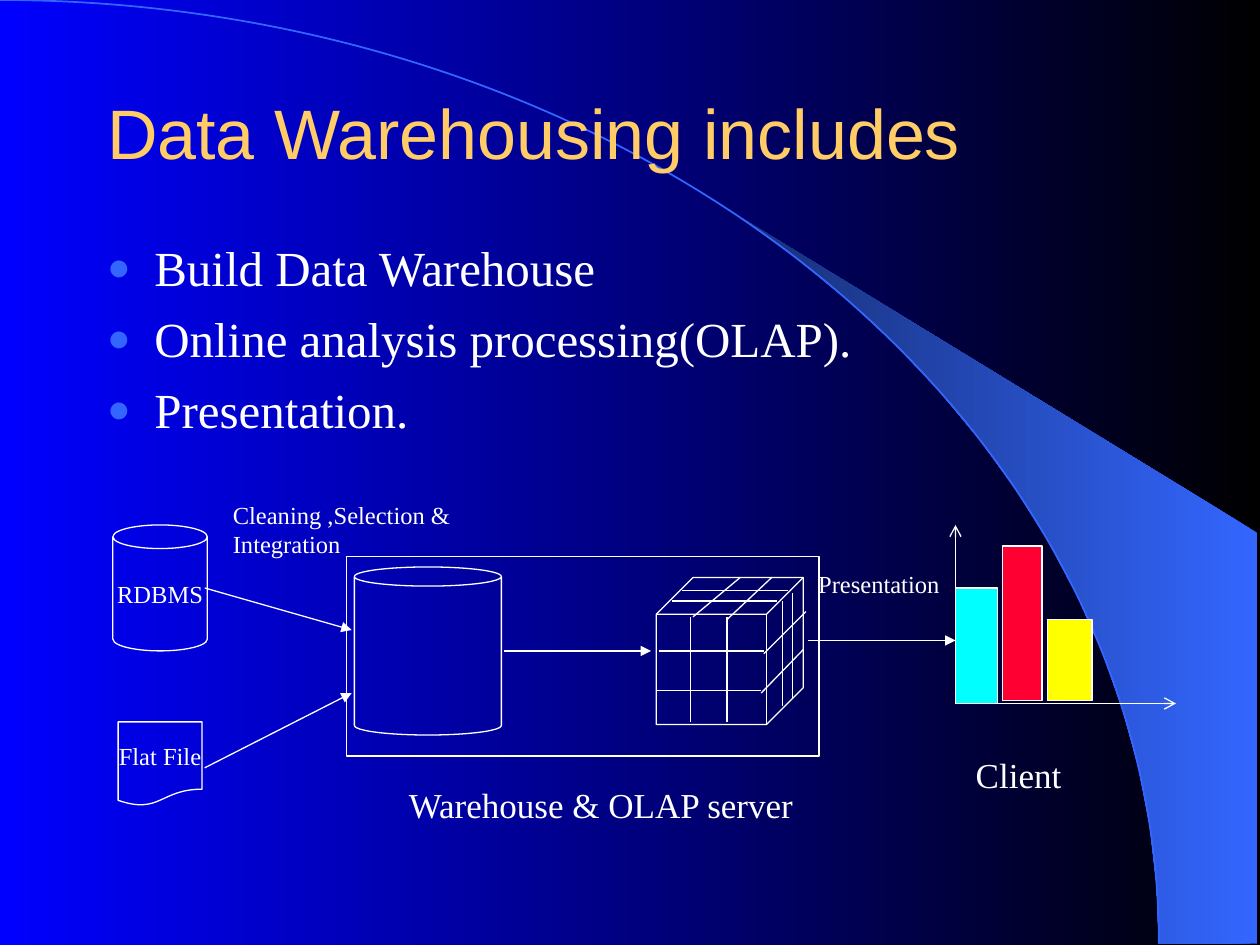
from dataclasses import dataclass
from math import asin, cos, pi, sin

from lxml import etree
from pptx import Presentation
from pptx.dml.color import RGBColor
from pptx.enum.shapes import MSO_CONNECTOR, MSO_SHAPE
from pptx.enum.text import MSO_ANCHOR, MSO_AUTO_SIZE, PP_ALIGN
from pptx.oxml.ns import qn
from pptx.util import Emu, Pt

STRAIGHT = MSO_CONNECTOR.STRAIGHT
ARC, CAN, CUBE = MSO_SHAPE.ARC, MSO_SHAPE.CAN, MSO_SHAPE.CUBE
DOCUMENT, RECTANGLE = MSO_SHAPE.FLOWCHART_DOCUMENT, MSO_SHAPE.RECTANGLE
LEFT, CENTER = PP_ALIGN.LEFT, PP_ALIGN.CENTER
TOP, MIDDLE = MSO_ANCHOR.TOP, MSO_ANCHOR.MIDDLE
NO_FIT, GROW = MSO_AUTO_SIZE.NONE, MSO_AUTO_SIZE.SHAPE_TO_FIT_TEXT

PX = 9525  # EMU per px, 96 px to the inch
ARC_WIDTH, ARC_HEIGHT = 883, 719


@dataclass(frozen=True)
class Theme:
    white: str = "FFFFFF"
    gold: str = "FFCC66"
    accent: str = "3366FF"
    accent_dark: str = "172F75"
    background: tuple = ("000000", "0000FF")
    bars: tuple = ("00FFFF", "FF0033", "FFFF00")
    heading_font: str = "Arial"
    body_font: str = "Times New Roman"
    title_size: int = 40
    body_size: int = 28
    caption_size: int = 20
    label_size: int = 14
    line_width: float = 0.75


THEME = Theme()


def px(*values):
    return [Emu(round(value * PX)) for value in values]


def color(code):
    return RGBColor.from_string(code)


def set_gradient(fill, codes):
    fill.gradient()
    fill.gradient_angle = 180
    for stop, code in zip(fill.gradient_stops, codes):
        stop.color.rgb = color(code)


def set_line(line, code=THEME.white, width=THEME.line_width):
    line.color.rgb = color(code)
    line.width = Pt(width)


def set_frame(frame, **values):
    for name, value in values.items():
        setattr(frame, name, value)


def format_paragraph(para, size, code=THEME.white, font=THEME.body_font, align=LEFT):
    para.alignment = align
    values = {"name": font, "size": Pt(size), "bold": False}
    for name, value in values.items():
        setattr(para.font, name, value)
    para.font.color.rgb = color(code)


def add_wedge(page):
    # Follows the arc from its apex down, then closes over the right corner
    apex, steps = (565, 166), 14
    start = asin(apex[0] / ARC_WIDTH)
    angles = [start + (pi / 2 - start) * step / steps for step in range(1, steps + 1)]
    points = [px(ARC_WIDTH * sin(a), ARC_HEIGHT * (1 - cos(a))) for a in angles]
    points += [px(958, ARC_HEIGHT), px(958, 406)]
    builder = page.shapes.build_freeform(*px(*apex), scale=1.0)
    builder.add_line_segments(points, close=True)
    wedge = builder.convert_to_shape()
    wedge.shadow.inherit = False
    set_gradient(wedge.fill, (THEME.accent, THEME.accent_dark))
    wedge.line.fill.background()
    return wedge


def add_backdrop(page):
    set_gradient(page.background.fill, THEME.background)
    wedge = add_wedge(page)
    arc = add_box(page, ARC, (-ARC_WIDTH, 0, 2 * ARC_WIDTH, 2 * ARC_HEIGHT))
    set_line(arc.line, THEME.accent, 1)
    # Keep both behind the placeholders
    tree = wedge.element.getparent()
    for shape in (arc, wedge):
        tree.insert(2, shape.element)


def place(shape, bounds):
    for name, value in zip(("left", "top", "width", "height"), px(*bounds)):
        setattr(shape, name, value)


def fill_title(page, text):
    title = page.shapes.title
    place(title, (72, 64, 816, 72))
    title.text_frame.text = text
    set_frame(title.text_frame, vertical_anchor=MIDDLE, auto_size=NO_FIT)
    format_paragraph(title.text_frame.paragraphs[0], THEME.title_size, THEME.gold,
                     THEME.heading_font)


def add_bullet(para):
    props = para._p.get_or_add_pPr()
    props.set("marL", str(36 * PX))
    props.set("indent", str(-36 * PX))
    bullet_color = etree.SubElement(props, qn("a:buClr"))
    etree.SubElement(bullet_color, qn("a:srgbClr"), val=THEME.accent)
    etree.SubElement(props, qn("a:buSzPct"), val="80000")
    etree.SubElement(props, qn("a:buChar"), char="●")


def fill_body(page, items):
    body = page.placeholders[1]
    place(body, (72, 176, 816, 176))
    frame = body.text_frame
    frame.text = "\n".join(items)
    set_frame(frame, vertical_anchor=TOP, auto_size=NO_FIT)
    for index, para in enumerate(frame.paragraphs):
        add_bullet(para)
        para.space_before = Pt(7 if index else 0)
        format_paragraph(para, THEME.body_size)


def add_label(page, text, bounds, size=THEME.label_size):
    box = page.shapes.add_textbox(*px(*bounds))
    box.text_frame.text = text
    set_frame(box.text_frame, word_wrap=False, auto_size=GROW)
    for para in box.text_frame.paragraphs:
        format_paragraph(para, size)


def add_box(page, kind, bounds, text="", fill=None, adjust=None):
    box = page.shapes.add_shape(kind, *px(*bounds))
    box.shadow.inherit = False
    if fill:
        box.fill.solid()
        box.fill.fore_color.rgb = color(fill)
    else:
        box.fill.background()
    set_line(box.line)
    if adjust is not None:
        box.adjustments[0] = adjust
    if text:
        box.text_frame.text = text
        set_frame(box.text_frame, word_wrap=False, vertical_anchor=MIDDLE)
        format_paragraph(box.text_frame.paragraphs[0], THEME.label_size, align=CENTER)
    return box


def add_line(page, ends, arrow=None):
    line = page.shapes.add_connector(STRAIGHT, *px(*ends))
    set_line(line.line)
    if arrow:
        etree.SubElement(line.line._get_or_add_ln(), qn("a:tailEnd"), type=arrow)
    etree.SubElement(line.element.spPr, qn("a:effectLst"))


def add_olap_cube(page):
    add_box(page, CUBE, (500, 440, 112, 112), adjust=0.25)
    length = 80
    for x, y in ((526, 470), (554, 470), (596, 458), (604, 452)):
        add_line(page, (x, y, x, y + length))
    for x, y in ((502, 496), (500, 526), (512, 458), (520, 450)):
        add_line(page, (x, y, x + length, y))
    for ends in ((588, 440, 554, 472), (564, 440, 528, 470),
                 (580, 528, 612, 495), (582, 498, 614, 466)):
        add_line(page, ends)


def add_client_chart(page):
    for ends in ((728, 536, 728, 400), (728, 536, 896, 536)):
        add_line(page, ends, "arrow")
    bars = ((728, 448, 32, 88), (764, 416, 30, 118), (798, 472, 34, 62))
    for bounds, fill in zip(bars, THEME.bars):
        add_box(page, RECTANGLE, bounds, fill=fill)


def main():
    deck = Presentation()
    deck.slide_width, deck.slide_height = px(960, 720)
    page = deck.slides.add_slide(deck.slide_layouts[1])
    add_backdrop(page)
    fill_title(page, "Data Warehousing includes")
    fill_body(page, ("Build Data Warehouse", "Online analysis processing(OLAP).",
                     "Presentation."))

    # Data sources and warehouse
    add_box(page, CAN, (86, 400, 72, 96), "RDBMS", adjust=0.25)
    add_box(page, DOCUMENT, (90, 550, 64, 64), "Flat File")
    add_box(page, CAN, (270, 432, 112, 128), adjust=0.13)
    add_olap_cube(page)
    add_client_chart(page)
    add_box(page, RECTANGLE, (264, 424, 360, 152))

    # Data flow
    for ends in ((156, 448, 268, 480), (156, 585, 268, 528),
                 (384, 496, 496, 496), (616, 488, 728, 488)):
        add_line(page, ends, "triangle")

    # Labels
    add_label(page, "Presentation", (614, 429, 114, 33))
    add_label(page, "Cleaning ,Selection &\nIntegration", (168, 376, 187, 55))
    add_label(page, "Warehouse & OLAP server", (302, 592, 317, 42), THEME.caption_size)
    add_label(page, "Client", (734, 569, 87, 42), THEME.caption_size)
    deck.save("out.pptx")


if __name__ == "__main__":
    main()
